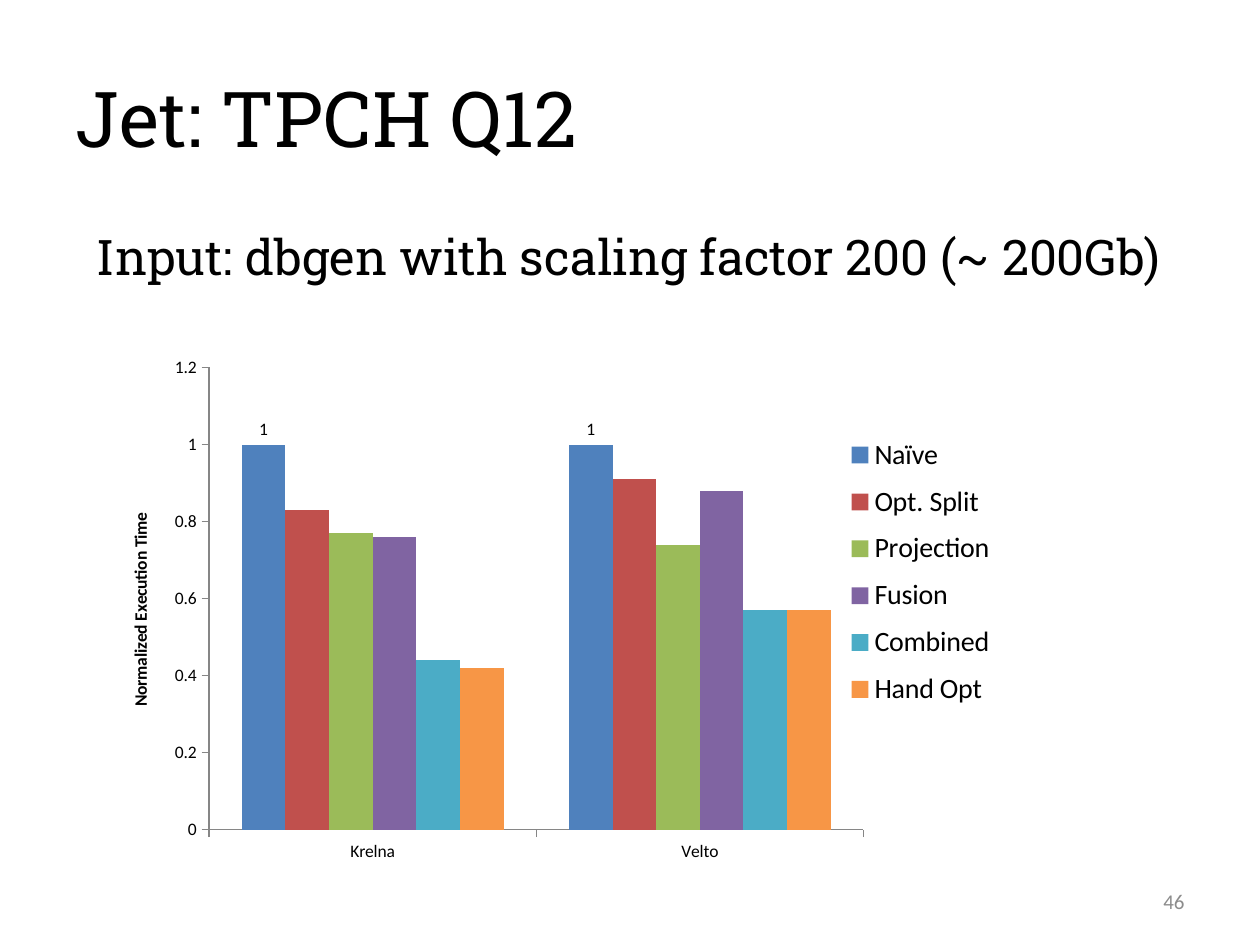
"""Build the slide on normalized TPCH Q12 execution times."""
from lxml.etree import SubElement
from pptx import Presentation
from pptx.chart.data import CategoryChartData
from pptx.dml.color import RGBColor
from pptx.enum.chart import (
    XL_CHART_TYPE, XL_LABEL_POSITION, XL_LEGEND_POSITION, XL_TICK_MARK)
from pptx.enum.text import MSO_ANCHOR, PP_ALIGN
from pptx.oxml.ns import qn
from pptx.util import Inches, Pt

TITLE = "Jet: TPCH Q12"
INPUT = "Input: dbgen with scaling factor 200 (~ 200Gb)"
PAGE = "46"
AXIS = "Normalized Execution Time"
CATS = ("Krelna", "Velto")
SERIES = (
    ("Naïve", (1, 1), "4F81BD"),
    ("Opt. Split", (0.83, 0.91), "C0504D"),
    ("Projection", (0.77, 0.74), "9BBB59"),
    ("Fusion", (0.76, 0.88), "8064A2"),
    ("Combined", (0.44, 0.57), "4BACC6"),
    ("Hand Opt", (0.42, 0.57), "F79646"),
)
THEME = {
    "head": "Roboto Slab", "body": "Calibri",
    "ink": "000000", "gray": "8C8C8C", "rule": "868686",
    "title": 44, "input": 28, "legend": 16, "page": 12, "chart": 10,
}
PLOT = {"x": 0.11, "y": 0.04, "w": 0.69, "h": 0.88}
KEY = {"x": 0.77, "y": 0.15, "w": 0.18, "h": 0.56}


def style(font, face, size, color):
    font.name = THEME[face]
    font.size = Pt(THEME[size])
    font.color.rgb = RGBColor.from_string(THEME[color])


def write(shape, box, text, face, size, color, align, anchor):
    shape.left, shape.top, shape.width, shape.height = map(Inches, box)
    frame = shape.text_frame
    frame.text = text
    frame.word_wrap = True
    frame.vertical_anchor = anchor
    para = frame.paragraphs[0]
    para.alignment = align
    style(para.runs[0].font, face, size, color)


def place(parent, index, spot, inner=False):
    for old in parent.findall(qn("c:layout")):
        parent.remove(old)
    layout = SubElement(parent, qn("c:layout"))
    parent.insert(index, layout)
    manual = SubElement(layout, qn("c:manualLayout"))
    rules = [("layoutTarget", "inner")] if inner else []
    rules += [("xMode", "edge"), ("yMode", "edge"), *spot.items()]
    for tag, val in rules:
        SubElement(manual, qn("c:" + tag)).set("val", str(val))


def draw(slide):
    data = CategoryChartData()
    data.categories = CATS
    for name, vals, _ in SERIES:
        data.add_series(name, vals)
    box = map(Inches, (0.83, 2.75, 7.53, 4.17))
    chart = slide.shapes.add_chart(
        XL_CHART_TYPE.COLUMN_CLUSTERED, *box, data).chart
    chart.has_title = False
    style(chart.font, "body", "chart", "ink")

    bars = chart.plots[0]
    bars.gap_width, bars.overlap, bars.vary_by_categories = 150, 0, False
    for item, (_, _, color) in zip(bars.series, SERIES):
        item.format.fill.solid()
        item.format.fill.fore_color.rgb = RGBColor.from_string(color)
    labels = bars.series[0].data_labels
    labels.show_value = True
    labels.position = XL_LABEL_POSITION.OUTSIDE_END
    style(labels.font, "body", "chart", "ink")

    for axis in (chart.category_axis, chart.value_axis):
        axis.has_major_gridlines = False
        axis.major_tick_mark = XL_TICK_MARK.OUTSIDE
        axis.minor_tick_mark = XL_TICK_MARK.NONE
        axis.format.line.color.rgb = RGBColor.from_string(THEME["rule"])
        axis.format.line.width = Pt(0.75)
    scale = chart.value_axis
    scale.minimum_scale, scale.maximum_scale, scale.major_unit = 0, 1.2, 0.2
    frame = scale.axis_title.text_frame
    frame.text = AXIS
    font = frame.paragraphs[0].runs[0].font
    style(font, "body", "chart", "ink")
    font.bold = True

    chart.has_legend = True
    legend = chart.legend
    legend.position = XL_LEGEND_POSITION.RIGHT
    legend.include_in_layout = False
    style(legend.font, "body", "legend", "ink")
    area = chart.element.chart
    place(area.plotArea, 0, PLOT, inner=True)
    place(area.find(qn("c:legend")), 1, KEY)


def main():
    deck = Presentation()
    deck.slide_width, deck.slide_height = Inches(10), Inches(7.5)
    slide = deck.slides.add_slide(deck.slide_layouts[5])
    write(slide.shapes.title, (0.5, 0.3, 9, 1.25), TITLE,
          "head", "title", "ink", PP_ALIGN.LEFT, MSO_ANCHOR.MIDDLE)
    texts = (
        ((7.17, 6.95, 2.33, 0.4), PAGE, "body", "page", "gray",
         PP_ALIGN.RIGHT, MSO_ANCHOR.MIDDLE),
        ((0.67, 1.75, 8.75, 0.57), INPUT, "head", "input", "ink",
         PP_ALIGN.LEFT, MSO_ANCHOR.TOP),
    )
    for box, *rest in texts:
        shape = slide.shapes.add_textbox(*map(Inches, box))
        write(shape, box, *rest)
    draw(slide)
    deck.save("out.pptx")


if __name__ == "__main__":
    main()
